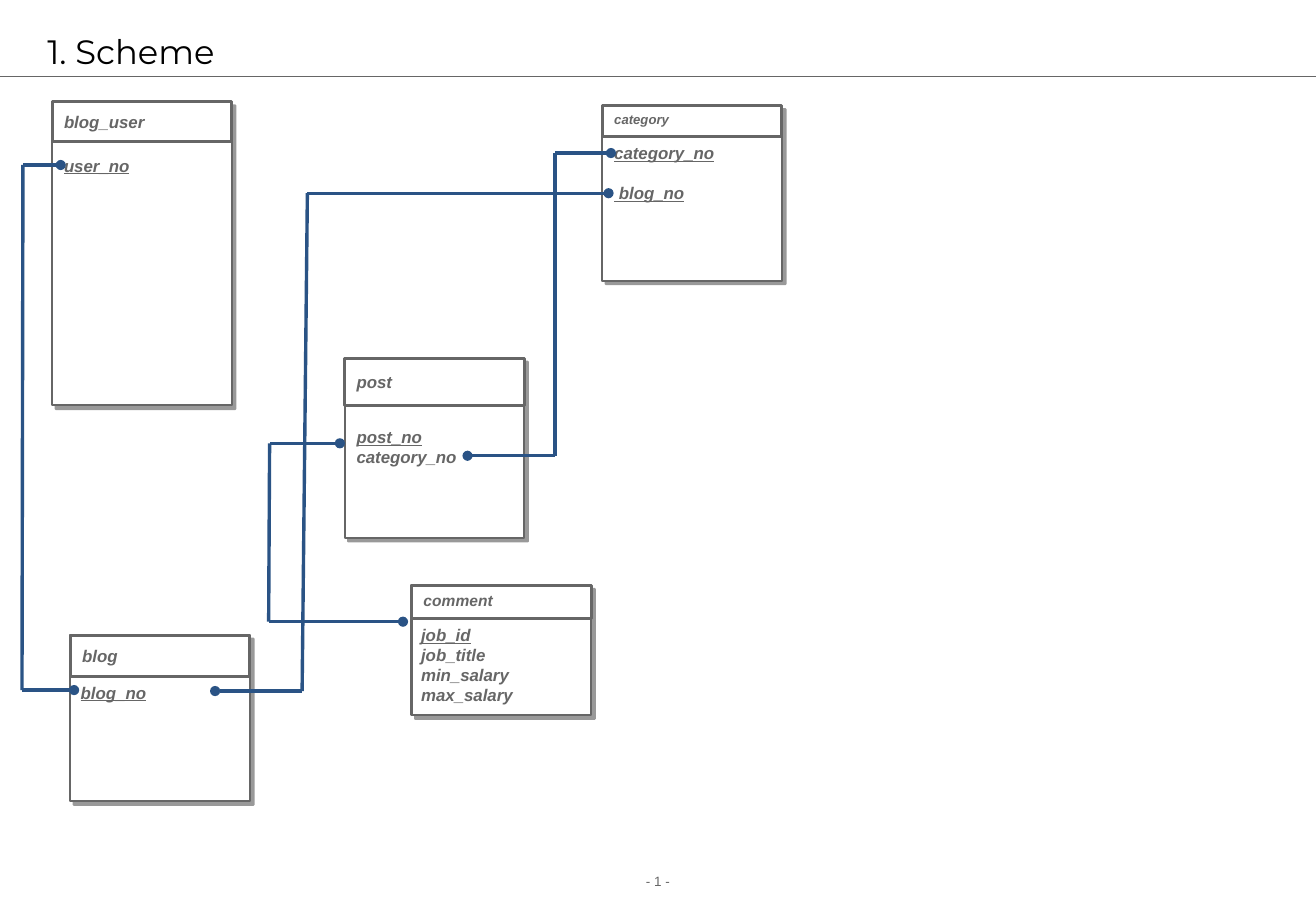
from lxml import etree
from pptx import Presentation
from pptx.dml.color import RGBColor
from pptx.enum.shapes import MSO_CONNECTOR, MSO_SHAPE
from pptx.enum.text import MSO_ANCHOR, PP_ALIGN
from pptx.oxml import parse_xml
from pptx.oxml.ns import nsdecls, qn
from pptx.util import Cm, Pt

RECT, STRAIGHT = MSO_SHAPE.RECTANGLE, MSO_CONNECTOR.STRAIGHT
MIDDLE, CENTER, LEFT = MSO_ANCHOR.MIDDLE, PP_ALIGN.CENTER, PP_ALIGN.LEFT
COLORS = {"white": "FFFFFF", "gray": "666666", "black": "000000", "blue": "2A5385"}
SLIDE_W, SLIDE_H = 27.53, 19.05
ENTITY_W = 3.76

# name, left, top, height, header height, name size, name spacing, fields shift, fields (text, key, gap)
ENTITIES = [
    ("category", 12.6, 2.21, 3.66, 0.64, 7.8, 0.8, (0, 0.64),
     [("category_no", True, 0), (" blog_no", True, 12)]),
    ("post", 7.21, 7.49, 3.76, 0.99, 10, 1, (0, 1.3),
     [("post_no", True, 0), ("category_no", False, 0)]),
    ("comment", 8.61, 12.24, 2.72, 0.69, 9.2, 0.9, (-0.05, 0.69),
     [("job_id", True, 0), ("job_title", False, 0),
      ("min_salary", False, 0), ("max_salary", False, 0)]),
    ("blog_user", 1.09, 2.13, 6.35, 0.84, 10, 1, (0, 0.99), [("user_no", True, 0)]),
    ("blog", 1.47, 13.28, 3.48, 0.86, 10, 1, (-0.03, 0.86), [("blog_no", True, 0)]),
]

# upper dot, lower dot, x of the upper bend, x of the lower bend
RELATIONS = [
    ((12.78, 3.2), (9.78, 9.53), 11.61, 11.61),
    ((1.27, 3.45), (1.55, 14.43), 0.48, 0.46),
    ((7.11, 9.27), (8.43, 13), 5.64, 5.62),
    ((12.73, 4.04), (4.5, 14.45), 6.43, 6.32),
]


def rgb(name):
    """Return the named colour."""
    return RGBColor.from_string(COLORS[name])


def style_run(p, size, color, font="Arial", bold=False, underline=False):
    """Format the run of a paragraph; bold text is also italic."""
    f = p.runs[0].font
    f.name, f.size, f.color.rgb = font, Pt(size), rgb(color)
    f.bold = f.italic = bold
    f.underline = underline


def add_text(shapes, text, x, y, w, h):
    """Add a wrapping text box and return its frame."""
    tf = shapes.add_textbox(Cm(x), Cm(y), Cm(w), Cm(h)).text_frame
    tf.word_wrap = True
    tf.text = text
    return tf


def add_box(shapes, x, y, w, h, weight):
    """Add a white rectangle with a gray outline."""
    sp = shapes.add_shape(RECT, Cm(x), Cm(y), Cm(w), Cm(h))
    sp.shadow.inherit = False
    sp.fill.solid()
    sp.fill.fore_color.rgb = rgb("white")
    sp.line.color.rgb = rgb("gray")
    sp.line.width = Pt(weight)
    return sp


def add_shadow(sp):
    """Give a shape a hard shadow at the lower right."""
    effects = sp._element.spPr.find(qn("a:effectLst"))
    effects.append(parse_xml(
        f'<a:outerShdw {nsdecls("a")} blurRad="0" dist="{Pt(3)}" dir="2700000" algn="tl" '
        f'rotWithShape="0"><a:srgbClr val="{COLORS["black"]}"><a:alpha val="40000"/>'
        '</a:srgbClr></a:outerShdw>'))


def add_line(s, start, end, color, weight, dot=False):
    """Draw a straight line, with a dot at its start if asked."""
    c = s.shapes.add_connector(STRAIGHT, *map(Cm, start + end))
    c.line.color.rgb = rgb(color)
    c.line.width = Pt(weight)
    if dot:
        etree.SubElement(c.line._get_or_add_ln(), qn("a:headEnd"), type="oval")
    etree.SubElement(c._element.spPr, qn("a:effectLst"))


def add_frame(s, w, h):
    """Add the title, the rule below it and the page number."""
    tf = add_text(s.shapes, "- 1 -", 0, h - 0.91, w, 0.61)
    p = tf.paragraphs[0]
    p.alignment, p.space_before = CENTER, Pt(5)
    style_run(p, 8, "gray")
    add_line(s, (0, 1.6), (w, 1.6), "gray", 0.75)
    tf = add_text(s.shapes, "1. Scheme", 0.74, 0.53, w - 1.7, 1.07)
    tf.vertical_anchor = MIDDLE
    style_run(tf.paragraphs[0], 20, "black", "Montserrat")


def add_entity(s, name, x, y, h, head_h, size, spacing, shift, fields):
    """Add one table of the schema: shadowed box, name header and fields."""
    shapes = s.shapes.add_group_shape().shapes
    add_shadow(add_box(shapes, x, y, ENTITY_W, h, 1.25))
    tf = add_box(shapes, x, y, ENTITY_W, head_h, 1.75).text_frame
    tf.word_wrap, tf.vertical_anchor = True, MIDDLE
    tf.text = name
    p = tf.paragraphs[0]
    p.alignment, p.line_spacing = LEFT, float(spacing)
    style_run(p, size, "gray", bold=True)
    dx, dy = shift
    text = "\n".join(field for field, _, _ in fields)
    tf = add_text(shapes, text, x + dx, y + dy, ENTITY_W, 0.26 + 0.43 * len(fields))
    for p, (_, key, gap) in zip(tf.paragraphs, fields):
        p.space_before = Pt(gap)
        style_run(p, 10, "gray", bold=True, underline=key)


def add_relation(s, upper, lower, x_upper, x_lower):
    """Join two fields with dotted stubs and a line between the bends."""
    bends = (x_upper, upper[1]), (x_lower, lower[1])
    for dot, bend in zip((upper, lower), bends):
        add_line(s, dot, bend, "blue", 2, dot=True)
    add_line(s, *bends, "blue", 2)


def main():
    """Build the schema slide."""
    prs = Presentation()
    prs.slide_width, prs.slide_height = Cm(SLIDE_W), Cm(SLIDE_H)
    s = prs.slides.add_slide(prs.slide_layouts[6])
    add_frame(s, SLIDE_W, SLIDE_H)
    for entity in ENTITIES:
        add_entity(s, *entity)
    for relation in RELATIONS:
        add_relation(s, *relation)
    prs.save("out.pptx")


if __name__ == "__main__":
    main()
